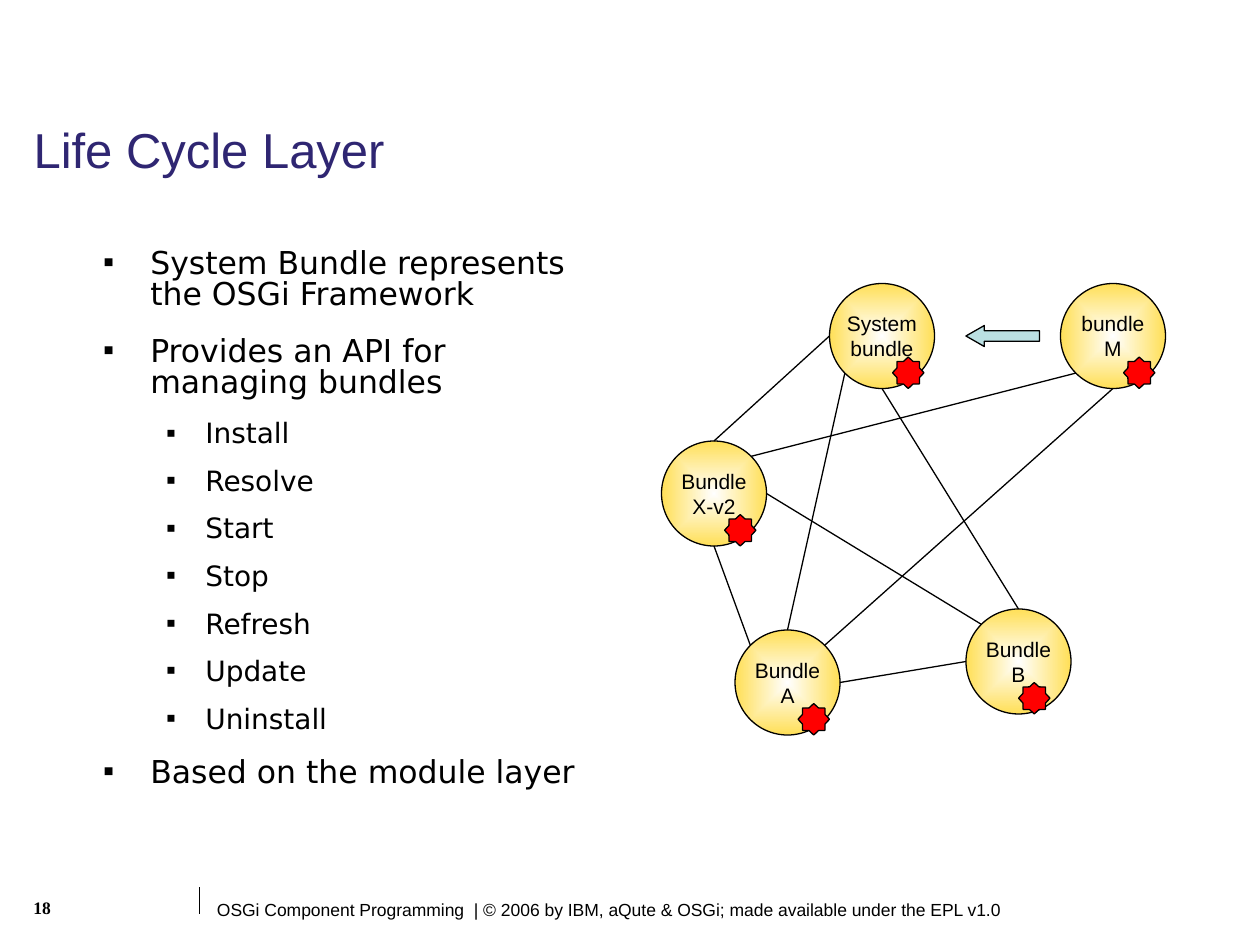
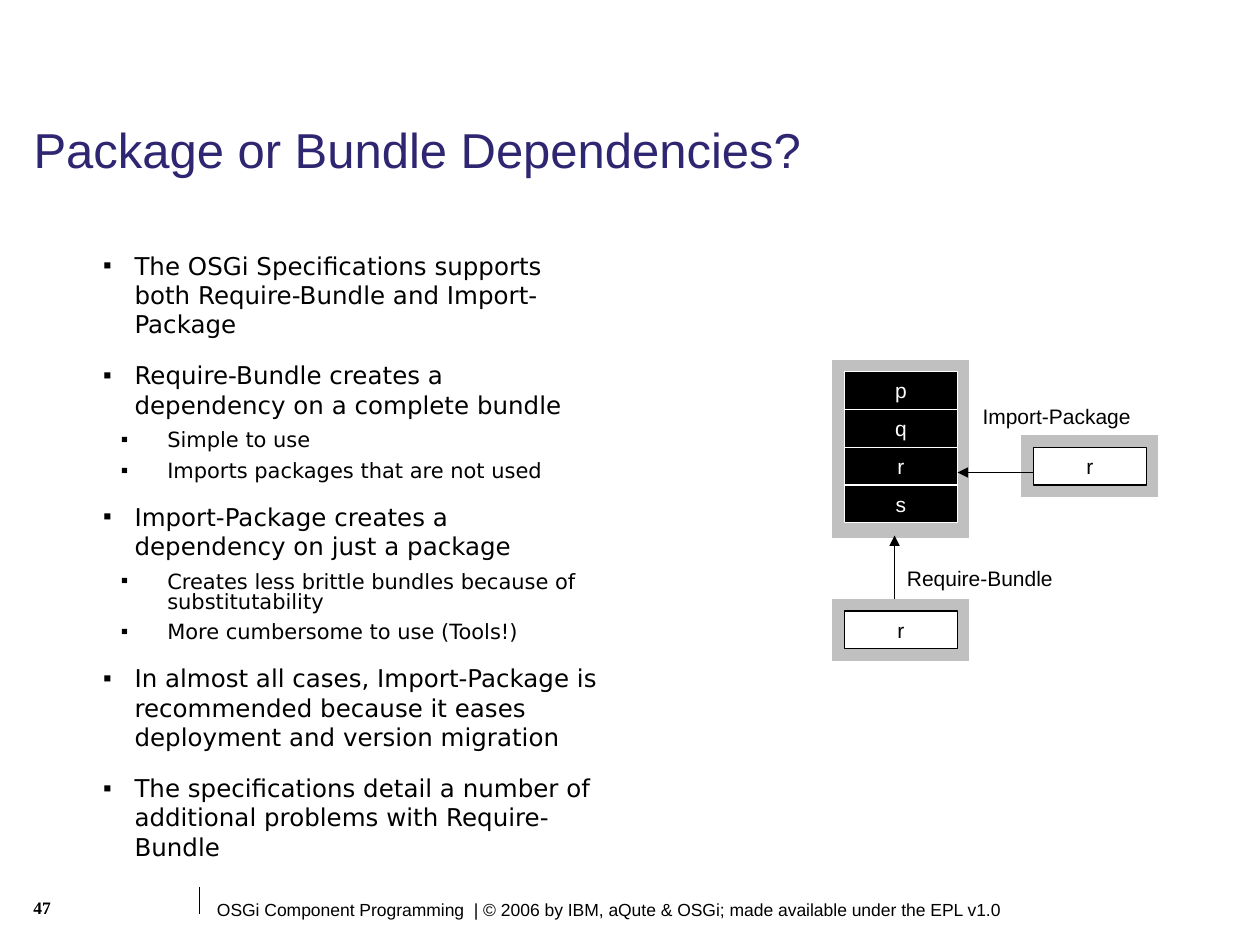
from dataclasses import dataclass
from math import cos, pi, sin

from pptx import Presentation
from pptx.dml.color import RGBColor
from pptx.enum.shapes import MSO_CONNECTOR, MSO_SHAPE
from pptx.enum.text import MSO_ANCHOR, MSO_AUTO_SIZE, PP_ALIGN
from pptx.oxml import parse_xml
from pptx.oxml.ns import nsdecls, qn
from pptx.util import Pt


@dataclass(frozen=True)
class Theme:
    ink: str = "000000"
    paper: str = "FFFFFF"
    title: str = "2F2672"
    gold: str = "FFDF57"
    red: str = "FF0000"
    pale: str = "BBE0E3"
    gray: str = "C0C0C0"
    sans: str = "Arial"
    body: str = "DejaVu Sans"
    serif: str = "Times New Roman"
    head: float = 28
    label: float = 12
    small: float = 10
    line: float = 0.75


@dataclass(frozen=True)
class Level:
    size: float
    left: float
    hang: float
    line: float
    before: float
    after: float


T = Theme()
LARGE = (Level(18, 27, 27, 0.8, 11.2, 4.5), Level(16, 58.5, 22.5, 1, 5, 3))
DENSE = (Level(14, 18, 18, 1, 8.8, 3.5), Level(12, 36.7, 26.5, 0.8, 3.7, 2.2))
FOOTER = ("OSGi Component Programming  | © 2006 by IBM, aQute & OSGi; "
          "made available under the EPL v1.0")

LIFE = [
    (0, "System Bundle represents the OSGi Framework"),
    (0, "Provides an API for managing bundles"),
    *((1, step) for step in ("Install", "Resolve", "Start", "Stop",
                             "Refresh", "Update", "Uninstall")),
    (0, "Based on the module layer"),
]
NEEDS = [
    (0, "The OSGi Specifications supports both Require-Bundle and "
        "Import-Package"),
    (0, "Require-Bundle creates a dependency on a complete bundle"),
    (1, "Simple to use"),
    (1, "Imports packages that are not used"),
    (0, "Import-Package creates a dependency on just a package"),
    (1, "Creates less brittle bundles because of substitutability"),
    (1, "More cumbersome to use (Tools!)"),
    (0, "In almost all cases, Import-Package is recommended because it "
        "eases deployment and version migration"),
    (0, "The specifications detail a number of additional problems with "
        "Require-Bundle"),
]

# Bundles of the graph: label lines, place in the graph box, star indent
NODE, STAR = 60, 18
NODES = {
    "X": (("Bundle", "X-v2"), 0, 90, 36),
    "B": (("Bundle", "B"), 174, 186, 30),
    "M": (("bundle", "M"), 228, 0, 36),
    "A": (("Bundle", "A"), 42, 198, 36),
    "S": (("System", "bundle"), 96, 0, 36),
}
# Each link joins two rim points, named by compass direction
RIM = {side: i * pi / 4 for i, side in
       enumerate(("E", "SE", "S", "SW", "W", "NW", "N", "NE"))}
LINKS = [
    ("A", "E", "B", "W"), ("A", "NE", "M", "S"), ("A", "N", "S", "SW"),
    ("B", "N", "S", "S"), ("X", "S", "A", "NW"), ("X", "E", "B", "NW"),
    ("X", "NE", "M", "SW"), ("X", "N", "S", "W"),
]


# Shared helpers
def put(item, **values):
    for name, value in values.items():
        setattr(item, name, value)


def color(code):
    return RGBColor.from_string(code)


def write(para, text, size, font=T.sans, ink=T.ink, bold=False):
    run = para.add_run()
    run.text = text
    put(run.font, name=font, size=Pt(size), bold=bold)
    run.font.color.rgb = color(ink)


def style(shape, fill, edge):
    shape.shadow.inherit = False
    if fill:
        shape.fill.solid()
        shape.fill.fore_color.rgb = color(fill)
    shape.line.color.rgb = color(edge)
    shape.line.width = Pt(T.line)


def block(slide, kind, box, fill=None, edge=T.ink, lines=(), ink=T.ink):
    shape = slide.shapes.add_shape(kind, *map(Pt, box))
    style(shape, fill, edge)
    frame = shape.text_frame
    put(frame, word_wrap=False, vertical_anchor=MSO_ANCHOR.MIDDLE)
    for i, text in enumerate(lines):
        para = frame.add_paragraph() if i else frame.paragraphs[0]
        para.alignment = PP_ALIGN.CENTER
        write(para, text, T.label, ink=ink)
    return shape


def label(slide, box, text, size, **look):
    frame = slide.shapes.add_textbox(*map(Pt, box)).text_frame
    frame.word_wrap = True
    write(frame.paragraphs[0], text, size, **look)
    return frame


def link(slide, start, end, arrow=False):
    wire = slide.shapes.add_connector(
        MSO_CONNECTOR.STRAIGHT, *map(Pt, (*start, *end)))
    wire.line.color.rgb = color(T.ink)
    wire.line.width = Pt(T.line)
    if arrow:
        wire.line._get_or_add_ln().append(
            parse_xml(f'<a:tailEnd {nsdecls("a")} type="triangle"/>'))
    wire._element.spPr.append(parse_xml(f'<a:effectLst {nsdecls("a")}/>'))


# Title, page number and footer of every slide
def base(deck, title, page):
    slide = deck.slides.add_slide(deck.slide_layouts[5])
    head = slide.shapes.title
    put(head, left=Pt(12), top=Pt(68.4), width=Pt(649.4), height=Pt(39.6))
    put(head.text_frame, word_wrap=True, auto_size=MSO_AUTO_SIZE.NONE,
        vertical_anchor=MSO_ANCHOR.TOP)
    para = head.text_frame.paragraphs[0]
    put(para, alignment=PP_ALIGN.LEFT, line_spacing=0.9)
    write(para, title, T.head, ink=T.title)

    link(slide, (114, 507), (114, 522))
    foot = label(slide, (114, 510, 606, 19.4), FOOTER, T.small)
    foot.margin_left = Pt(10)
    label(slide, (12, 509, 79.2, 25.2), page, T.small,
          font=T.serif, bold=True)
    return slide


# Bulleted text
def points(slide, box, items, levels):
    frame = slide.shapes.add_textbox(*map(Pt, box)).text_frame
    frame.word_wrap = True
    for i, (depth, text) in enumerate(items):
        para = frame.add_paragraph() if i else frame.paragraphs[0]
        level = levels[depth]
        put(para, level=depth, line_spacing=level.line,
            space_before=Pt(level.before if i else 0),
            space_after=Pt(level.after))
        props = para._p.get_or_add_pPr()
        props.set("marL", str(Pt(level.left)))
        props.set("indent", str(-Pt(level.hang)))
        for xml in (f'<a:buClr {nsdecls("a")}><a:srgbClr val="{T.ink}"/>'
                    '</a:buClr>',
                    f'<a:buFont {nsdecls("a")} typeface="{T.sans}"/>',
                    f'<a:buChar {nsdecls("a")} char="▪"/>'):
            props.append(parse_xml(xml))
        write(para, text, level.size, font=T.body)


# Graph of linked bundles
def glow(shape):
    shape.fill.gradient()
    for stop, place, code in zip(shape.fill.gradient_stops, (0, 1),
                                 (T.paper, T.gold)):
        stop.position = place
        stop.color.rgb = color(code)
    grad = shape._element.spPr.find(qn("a:gradFill"))
    grad.remove(grad.find(qn("a:lin")))
    grad.append(parse_xml(
        f'<a:path {nsdecls("a")} path="rect"><a:fillToRect l="50000" '
        't="50000" r="50000" b="50000"/></a:path>'))


def star(slide, left, top):
    mid = STAR / 2
    spots = []
    for i in range(16):
        reach = mid * (0.78 if i % 2 else 1)
        turn = i * pi / 8
        spots.append((Pt(left + mid + reach * cos(turn)),
                      Pt(top + mid + reach * sin(turn))))
    pen = slide.shapes.build_freeform(*spots[0])
    pen.add_line_segments(spots[1:], close=True)
    style(pen.convert_to_shape(), T.red, T.ink)


def graph(slide, left, top):
    def rim(name, side):
        _, x, y, _ = NODES[name]
        mid = NODE / 2
        return (left + x + mid + mid * cos(RIM[side]),
                top + y + mid + mid * sin(RIM[side]))

    for lines, x, y, _ in NODES.values():
        glow(block(slide, MSO_SHAPE.OVAL, (left + x, top + y, NODE, NODE),
                   lines=lines))
    for one, side, two, other in LINKS:
        link(slide, rim(one, side), rim(two, other))
    for _, x, y, shift in NODES.values():
        star(slide, left + x + shift, top + y + 42)

    arrow = block(slide, MSO_SHAPE.LEFT_ARROW,
                  (left + 174, top + 24, 42, 12), T.pale)
    arrow.adjustments[0], arrow.adjustments[1] = 0.5, 0.876


# Bundle frames holding packages
PAD, WIDE, TALL = 7.2, 64.8, 21.6


def bundle(slide, left, top, names, fill, edge, ink, extra=0):
    block(slide, MSO_SHAPE.RECTANGLE,
          (left, top, WIDE + 2 * PAD, len(names) * TALL + 2 * PAD + extra),
          T.gray, T.paper)
    for i, name in enumerate(names):
        block(slide, MSO_SHAPE.RECTANGLE,
              (left + PAD, top + PAD + i * TALL, WIDE, TALL),
              fill, edge, (name,), ink)


def imports(slide, left, top):
    dark = (T.ink, T.paper, T.paper)
    light = (T.paper, T.ink, T.ink)
    for x, y, names, look, extra in ((0, 0, "pqrs", dark, 2),
                                     (0, 136.8, "r", light, 0),
                                     (108, 43.2, "r", light, 0)):
        bundle(slide, left + x, top + y, names, *look, extra)
    for x, y, end_x, end_y in ((36, 136.8, 36, 100.8),
                               (115.2, 64.8, 72, 64.8)):
        link(slide, (left + x, top + y), (left + end_x, top + end_y), True)
    for x, y, text in ((36, 114.5, "Require-Bundle"),
                       (79.2, 21.6, "Import-Package")):
        label(slide, (left + x, top + y, 108, 21.6), text, T.label)


def main():
    deck = Presentation()
    put(deck, slide_width=Pt(720), slide_height=Pt(540))
    body = (51.8, 139.7, 298.8, 355)

    slide = base(deck, "Life Cycle Layer", "18")
    points(slide, body, LIFE, LARGE)
    graph(slide, 378, 162)

    slide = base(deck, "Package or Bundle Dependencies?", "47")
    points(slide, body, NEEDS, DENSE)
    imports(slide, 475.2, 205.2)

    deck.save("out.pptx")


if __name__ == "__main__":
    main()
